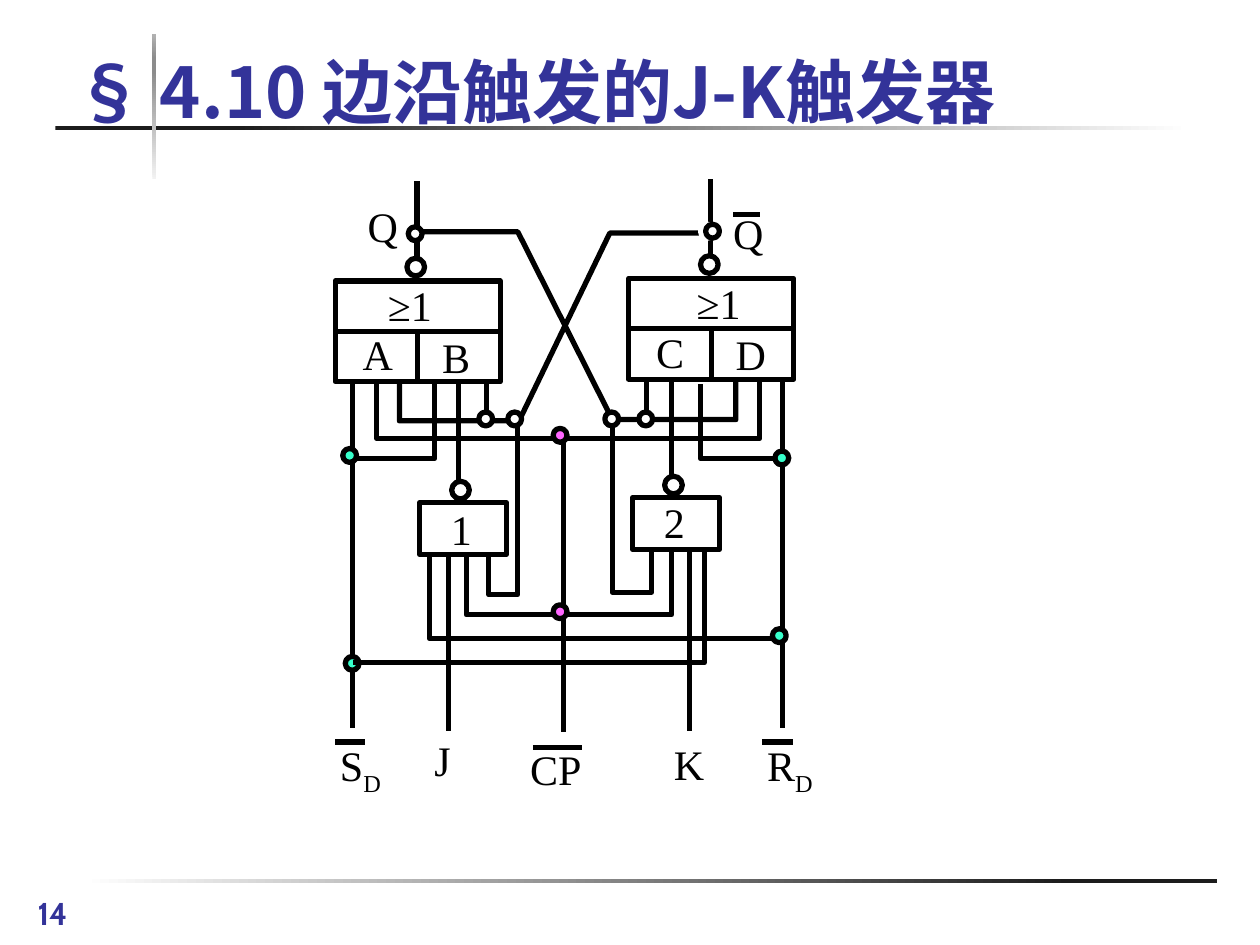
from copy import deepcopy
from dataclasses import dataclass

from lxml.etree import SubElement
from pptx import Presentation
from pptx.dml.color import RGBColor as RGB
from pptx.enum.shapes import MSO_CONNECTOR as CONN, MSO_SHAPE as SHAPE
from pptx.enum.text import MSO_ANCHOR as ANCHOR
from pptx.oxml.ns import qn
from pptx.util import Inches, Pt


@dataclass(frozen=True)
class Theme:
    ink: str = "000000"
    paper: str = "FFFFFF"
    accent: str = "333399"
    clock: str = "FF66FF"
    preset: str = "37FFCB"
    dark: str = "1C1C1C"
    title_font: str = "Noto Sans CJK SC"
    number_font: str = "Cabin"
    label_font: str = "Times New Roman"
    title_size: int = 40
    label_size: int = 24
    number_size: int = 18
    stroke: int = 3


T = Theme()
WIDTH, HEIGHT = Inches(10), Inches(7.5)
COLS = 100
CELL = WIDTH / COLS
BUBBLE, DOT = 1.4, 1.1


def g(*cells):
    return [round(c * CELL) for c in cells]


def set_line(line, color=T.ink):
    line.width = Pt(T.stroke)
    line.color.rgb = RGB.from_string(color)


def shape(s, kind, x, y, w, h, fill=None, line=T.ink):
    sp = s.shapes.add_shape(kind, *g(x, y, w, h))
    sp.shadow.inherit = False
    if fill:
        sp.fill.solid()
        sp.fill.fore_color.rgb = RGB.from_string(fill)
    else:
        sp.fill.background()
    set_line(sp.line, line)
    return sp


def bar(s, x, y, w, h, angle, stops):
    sp = shape(s, SHAPE.RECTANGLE, x, y, w, h)
    sp.line.fill.background()
    sp.fill.gradient()
    sp.fill.gradient_angle = angle
    gs_list = sp.element.xpath(".//a:gsLst")[0]
    for _ in stops[2:]:
        gs_list.append(deepcopy(gs_list[0]))
    for stop, (position, color) in zip(sp.fill.gradient_stops, stops):
        stop.position = position
        stop.color.rgb = RGB.from_string(color)


def circle(s, x, y, size, fill=None, line=T.ink):
    return shape(s, SHAPE.OVAL, x, y, size, size, fill, line)


def wire(s, *points):
    pts = [g(*pt) for pt in points]
    if len(pts) == 2:
        sp = s.shapes.add_connector(CONN.STRAIGHT, *pts[0], *pts[1])
        SubElement(sp.element.spPr, qn("a:effectLst"))
    else:
        path = s.shapes.build_freeform(*pts[0])
        path.add_line_segments(pts[1:], close=False)
        sp = path.convert_to_shape()
        sp.shadow.inherit = False
        sp.fill.background()
    set_line(sp.line)
    return sp


def text(s, x, y, w, h, words, font=T.label_font, size=T.label_size,
         color=T.ink, bold=False, anchor=ANCHOR.TOP, sub=""):
    tf = s.shapes.add_textbox(*g(x, y, w, h)).text_frame
    tf.word_wrap = True
    tf.vertical_anchor = anchor
    p = tf.paragraphs[0]
    p.font.name, p.font.size, p.font.bold = font, Pt(size), bold
    p.font.color.rgb = RGB.from_string(color)
    SubElement(p.font._element, qn("a:ea"), typeface=font) if hasattr(
        p.font, "_element") else SubElement(
        p._p.xpath("./a:pPr/a:defRPr")[0], qn("a:ea"), typeface=font)
    p.add_run().text = words
    if sub:
        r = p.add_run()
        r.text = sub
        r._r.get_or_add_rPr().set("baseline", "-25000")


def label(s, x, y, words, w=5.5, sub=""):
    text(s, x, y, w, 5, words, sub=sub)


def or_gate(s, x, y, left, right, sign_dx):
    box = shape(s, SHAPE.RECTANGLE, x, y, 13.1, 8)
    shelf = wire(s, (x, y + 4), (x + 13.1, y + 4))
    shelf.begin_connect(box, 1)
    shelf.end_connect(box, 3)
    wire(s, (x + 6.55, y + 8), (x + 6.55, y + 4)).begin_connect(box, 2)
    circle(s, x + 5.7, y - 1.8, BUBBLE)
    label(s, x + sign_dx, y - 0.6, "≥1", 7.8)
    label(s, x + 1.2, y + 3.3, left)
    label(s, x + 7.5, y + 3.5, right)
    wire(s, (x + 6.5, y - 1.8), (x + 6.5, y - 7.9))


def input_gate(s, x, y):
    shape(s, SHAPE.RECTANGLE, x, y, 6.9, 4.1)
    circle(s, x + 2.55, y - 1.7, BUBBLE)
    wire(s, (x + 3.1, y - 1.8), (x + 3.1, y - 9.5))


def frame(s):
    bar(s, 6.6, 69.8, 90, 0.3, 0, [(0, T.paper), (0.87, T.dark)])
    bar(s, 4.4, 10, 90, 0.3, 0, [(0.16, T.dark), (1, T.paper)])
    bar(s, 12.1, 2.7, 0.3, 11.5, 90,
        [(0, "F2F2F2"), (0.74, "8C8C8C"), (0.83, "8C8C8C"), (1, "B2B2B2")])
    text(s, 2, 70.5, 9.9, 3.7, "14", T.number_font, T.number_size,
         T.accent, True)
    text(s, 4.9, 3.4, 81.2, 7.6, "§ 4.10 边沿触发的J-K触发器", T.title_font,
         T.title_size, T.accent, True, ANCHOR.BOTTOM)


def wiring(s):
    for points in (
        [(32.9, 18.4), (41.1, 18.4), (48.6, 33.3), (58.4, 33.3), (58.4, 30.1)],
        [(56.4, 18.5), (48.4, 18.5), (41.2, 33.4), (31.7, 33.4), (31.7, 30.3)],
        [(51.3, 30.1), (51.3, 33.3)],
        [(38.6, 30.3), (38.6, 32.9)],
        [(48.6, 33.3), (48.6, 47), (51.7, 47), (51.7, 43.6)],
        [(41.1, 33.5), (41.1, 47.2), (38.8, 47.2), (38.8, 43.8)],
        [(29.9, 30.3), (29.9, 34.8), (60.3, 34.8), (60.3, 30.1)],
        [(44.7, 35), (44.7, 58.1)],
        [(37, 44), (37, 48.8), (53.3, 48.8), (53.3, 43.8)],
        [(54.7, 43.6), (54.7, 58)],
        [(35.6, 44), (35.6, 58)],
        [(28, 30.3), (28, 57.8)],
        [(62.1, 30.3), (62.1, 57.8)],
        [(34.5, 30.5), (34.5, 36.4), (28, 36.4)],
        [(55.6, 30.5), (55.6, 36.4), (62.1, 36.4)],
        [(34.1, 44), (34.1, 50.7), (62.1, 50.7)],
    ):
        wire(s, *points)


def junctions(s):
    circle(s, 55.6, 17.8, DOT, T.paper, T.paper)
    dots = {
        T.clock: [(43.9, 48), (43.9, 34)],
        T.preset: [(61.3, 49.9), (61.5, 35.8), (27.2, 35.6), (27.4, 52.1)],
        T.paper: [(50.7, 32.7), (38, 32.7), (40.3, 32.7), (48, 32.7),
                  (56, 17.8), (32.4, 18)],
    }
    for fill, places in dots.items():
        for x, y in places:
            circle(s, x, y, DOT, fill)
    wire(s, (28, 52.6), (55.9, 52.6), (55.9, 43.7))


def signal_names(s):
    for x, y, words, w, sub in (
        (28.2, 15.4, "Q", 5.5, ""),
        (57.2, 16, "Q", 5.5, ""),
        (41.1, 58.5, "CP", 8.6, ""),
        (59.9, 58.2, "R", 8.6, "D"),
        (26, 58.2, "S", 8.6, "D"),
        (33.5, 57.8, "J", 8.6, ""),
        (52.5, 58.1, "K", 5.3, ""),
        (34.8, 39.5, "1", 5.3, ""),
        (51.7, 38.9, "2", 5.3, ""),
    ):
        label(s, x, y, words, w, sub)
    for x, y, length in ((58.2, 17, 2.1), (42.3, 59.3, 3.9),
                         (60.5, 58.9, 2.4), (26.6, 58.9, 2.4)):
        wire(s, (x, y), (x + length, y))


def main():
    prs = Presentation()
    prs.slide_width, prs.slide_height = WIDTH, HEIGHT
    s = prs.slides.add_slide(prs.slide_layouts[6])
    s.background.fill.solid()
    s.background.fill.fore_color.rgb = RGB.from_string(T.paper)
    frame(s)
    or_gate(s, 26.6, 22.3, "A", "B", 3.2)
    or_gate(s, 49.9, 22.1, "C", "D", 4.4)
    input_gate(s, 33.3, 39.9)
    input_gate(s, 50.2, 39.5)
    wiring(s)
    junctions(s)
    signal_names(s)
    prs.save("out.pptx")


if __name__ == "__main__":
    main()
